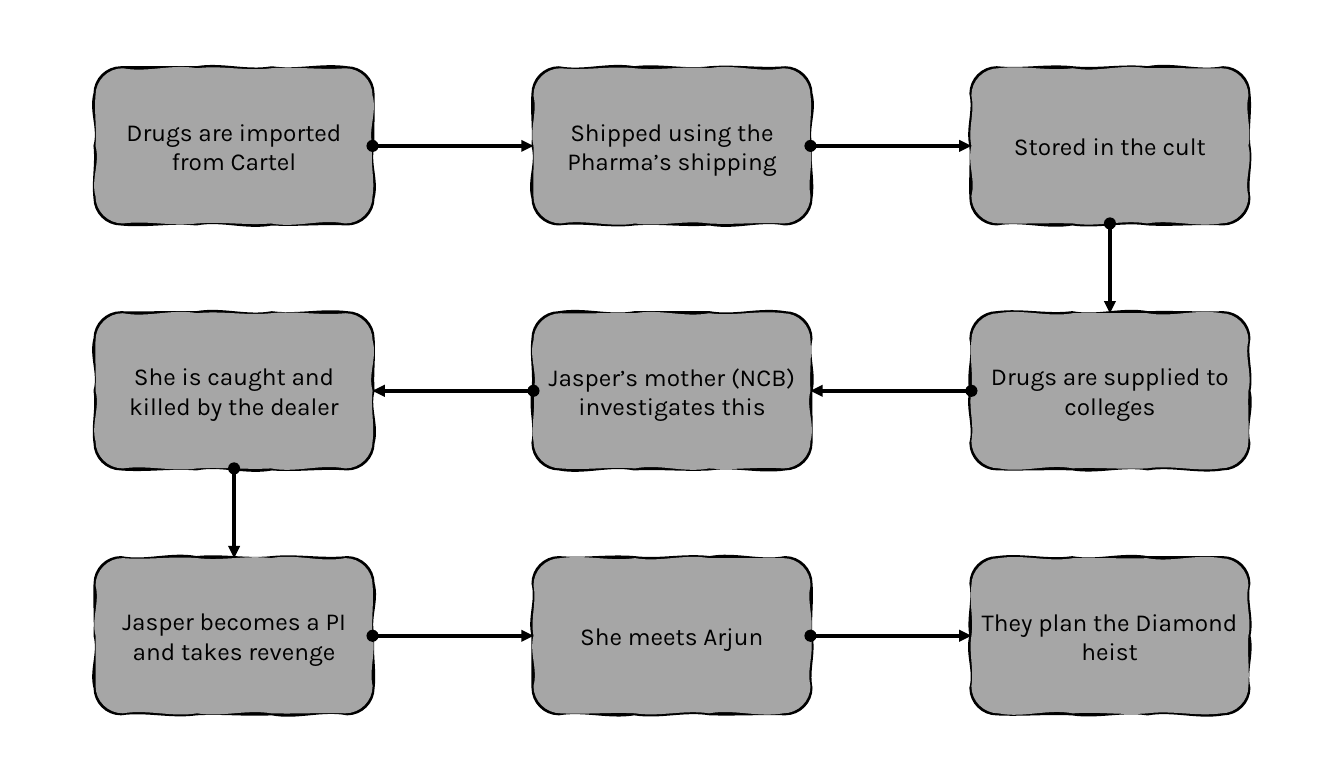
from copy import deepcopy
from dataclasses import dataclass
from itertools import pairwise
from math import cos, pi, sin

from lxml import etree
from pptx import Presentation
from pptx.dml.color import RGBColor
from pptx.enum.shapes import MSO_CONNECTOR
from pptx.enum.text import MSO_ANCHOR, PP_ALIGN
from pptx.oxml.ns import qn
from pptx.util import Inches, Pt

STRAIGHT = MSO_CONNECTOR.STRAIGHT
MIDDLE = MSO_ANCHOR.MIDDLE
CENTER = PP_ALIGN.CENTER

# Grid of cards, in inches
LEFT, TOP = 0.98, 0.7
WIDTH, HEIGHT = 2.84, 1.59
COLUMN_PITCH, ROW_PITCH = 4.49, 2.51

# Hand-drawn edge
WOBBLE = 0.05
ROUNDNESS = 0.55
BORDER_RADIUS, FILL_RADIUS = 0.26, 0.28

INK, GREY = "000000", "A6A6A6"
LINE_WIDTH = Pt(3)
FONT_FORMAT = {"name": "Karla", "size": Pt(18)}
FRAME_FORMAT = {"word_wrap": True, "vertical_anchor": MIDDLE}


@dataclass(frozen=True)
class Card:
    text: str
    column: int
    row: int

    @property
    def left(self) -> float:
        return LEFT + self.column * COLUMN_PITCH

    @property
    def top(self) -> float:
        return TOP + self.row * ROW_PITCH


# The story runs right, then left, then right again
STORY = [
    Card("Drugs are imported from Cartel", 0, 0),
    Card("Shipped using the Pharma’s shipping", 1, 0),
    Card("Stored in the cult", 2, 0),
    Card("Drugs are supplied to colleges", 2, 1),
    Card("Jasper’s mother (NCB) investigates this", 1, 1),
    Card("She is caught and killed by the dealer", 0, 1),
    Card("Jasper becomes a PI and takes revenge", 0, 2),
    Card("She meets Arjun", 1, 2),
    Card("They plan the Diamond heist", 2, 2),
]


def color(value: str) -> RGBColor:
    return RGBColor.from_string(value)


def apply_format(target, values: dict) -> None:
    for name, value in values.items():
        setattr(target, name, value)


def wavy_outline(card: Card, radius: float, seed: int) -> list[tuple[int, int]]:
    """A start point, then three points for each curve of a rippling card."""
    near_x, far_x = card.left + radius, card.left + WIDTH - radius
    near_y, far_y = card.top + radius, card.top + HEIGHT - radius
    centers = [(near_x, near_y), (far_x, near_y), (far_x, far_y), (near_x, far_y)]
    points = [(card.left, near_y)]
    for side, (x, y) in enumerate(centers):
        # Unit vectors: along the side, and outward from it
        along_x, along_y = cos(side * pi / 2), sin(side * pi / 2)
        out_x, out_y = along_y, -along_x
        for back, out in ((1, ROUNDNESS), (ROUNDNESS, 1), (0, 1)):
            points.append((x + radius * (out * out_x - back * along_x),
                           y + radius * (out * out_y - back * along_y)))
        next_x, next_y = centers[(side + 1) % 4]
        curves = 2 if side % 2 else 3
        for curve in range(curves):
            sway = WOBBLE * sin(5 * seed + 3 * side + 2 * curve)
            for third, shift in ((1, sway), (2, -sway), (3, 0)):
                part = (curve + third / 3) / curves
                reach = radius + shift
                points.append((x + (next_x - x) * part + reach * out_x,
                               y + (next_y - y) * part + reach * out_y))
    return [(Inches(x), Inches(y)) for x, y in points]


def bend_lines(contour) -> None:
    """Merge every three line segments into one Bézier curve."""
    lines = contour.findall(qn("a:lnTo"))
    for first in range(0, len(lines), 3):
        bezier = etree.Element(qn("a:cubicBezTo"))
        lines[first].addprevious(bezier)
        for line in lines[first:first + 3]:
            bezier.append(line[0])
            contour.remove(line)


def split_border_from_fill(shape) -> None:
    """Turn two contours into a stroked border below a filled body."""
    border = next(shape._element.iter(qn("a:path")))
    body = deepcopy(border)
    border.addnext(body)
    half = len(border) // 2
    for contour, surplus in ((border, border[half:]), (body, body[:half])):
        for segment in surplus:
            contour.remove(segment)
        bend_lines(contour)
    border.set("fill", "none")
    body.set("stroke", "0")


def add_card(page, card: Card, seed: int) -> None:
    border = wavy_outline(card, BORDER_RADIUS, seed)
    body = wavy_outline(card, FILL_RADIUS, seed + 1)
    builder = page.shapes.build_freeform(*border[0])
    builder.add_line_segments(border[1:], close=True)
    builder.move_to(*body[0])
    builder.add_line_segments(body[1:], close=True)
    box = builder.convert_to_shape()
    split_border_from_fill(box)
    box.shadow.inherit = False
    box.fill.solid()
    box.fill.fore_color.rgb = color(GREY)
    box.line.color.rgb = color(INK)
    box.line.width = LINE_WIDTH
    apply_format(box.text_frame, FRAME_FORMAT)
    para = box.text_frame.paragraphs[0]
    para.alignment = CENTER
    span = para.add_run()
    span.text = card.text
    apply_format(span.font, FONT_FORMAT)
    span.font.color.rgb = color(INK)


def add_arrow(page, source: Card, target: Card) -> None:
    """Join the facing edges of two neighbouring cards."""
    reach_x = (target.column - source.column) * WIDTH / 2
    reach_y = (target.row - source.row) * HEIGHT / 2
    arrow = page.shapes.add_connector(
        STRAIGHT,
        Inches(source.left + WIDTH / 2 + reach_x),
        Inches(source.top + HEIGHT / 2 + reach_y),
        Inches(target.left + WIDTH / 2 - reach_x),
        Inches(target.top + HEIGHT / 2 - reach_y),
    )
    arrow.line.color.rgb = color(INK)
    arrow.line.width = LINE_WIDTH
    properties = arrow._element.spPr
    line = properties.find(qn("a:ln"))
    for end, kind in (("a:headEnd", "oval"), ("a:tailEnd", "triangle")):
        etree.SubElement(line, qn(end), type=kind)
    etree.SubElement(properties, qn("a:effectLst"))


def main() -> None:
    deck = Presentation()
    deck.slide_width, deck.slide_height = Inches(13.78), Inches(7.87)
    page = deck.slides.add_slide(deck.slide_layouts[6])

    # Cards first, arrows on top
    for seed, card in enumerate(STORY):
        add_card(page, card, seed)
    for source, target in pairwise(STORY):
        add_arrow(page, source, target)

    deck.save("out.pptx")


if __name__ == "__main__":
    main()
